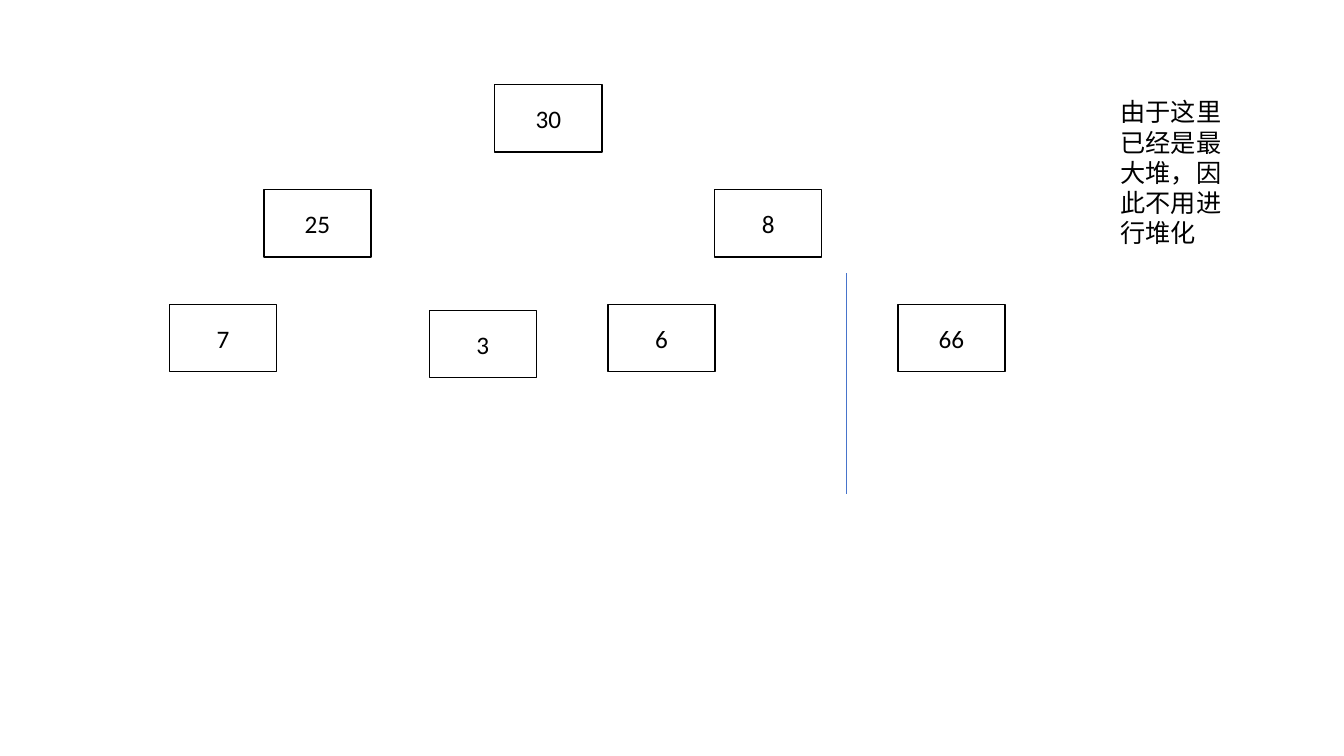
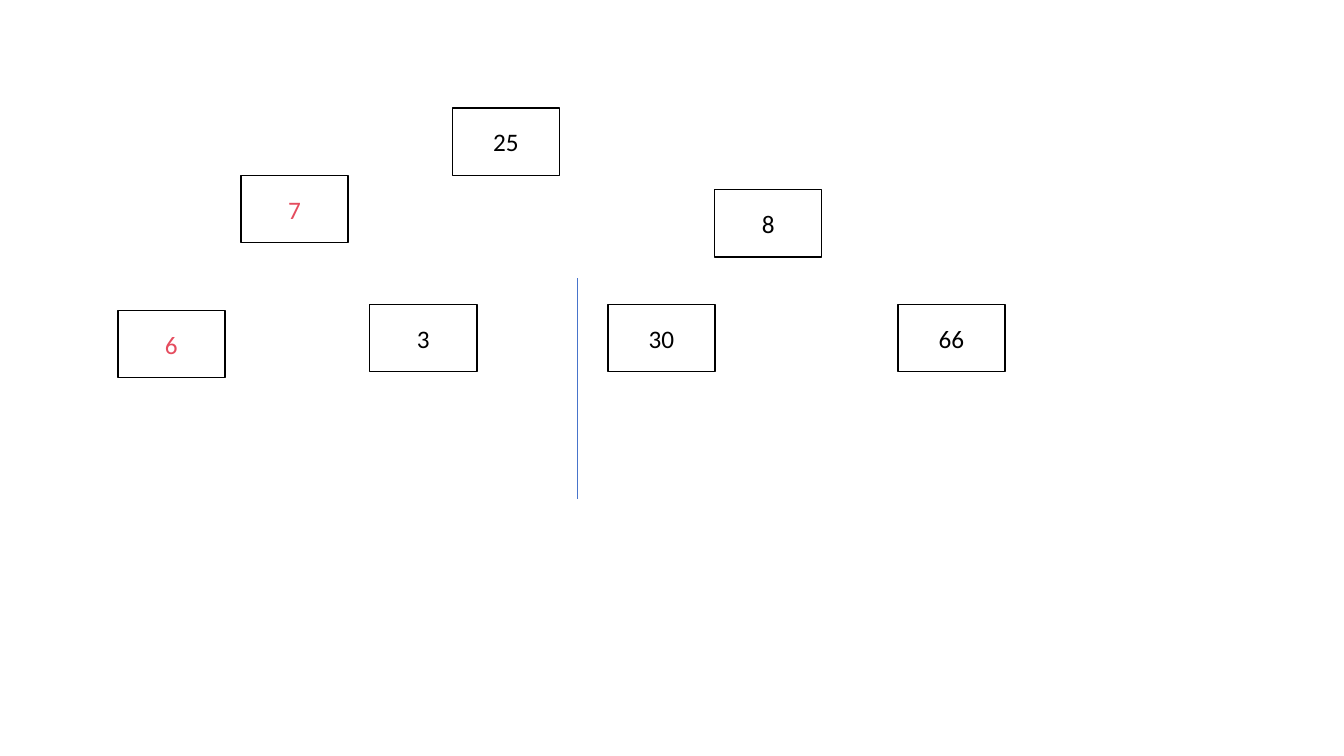
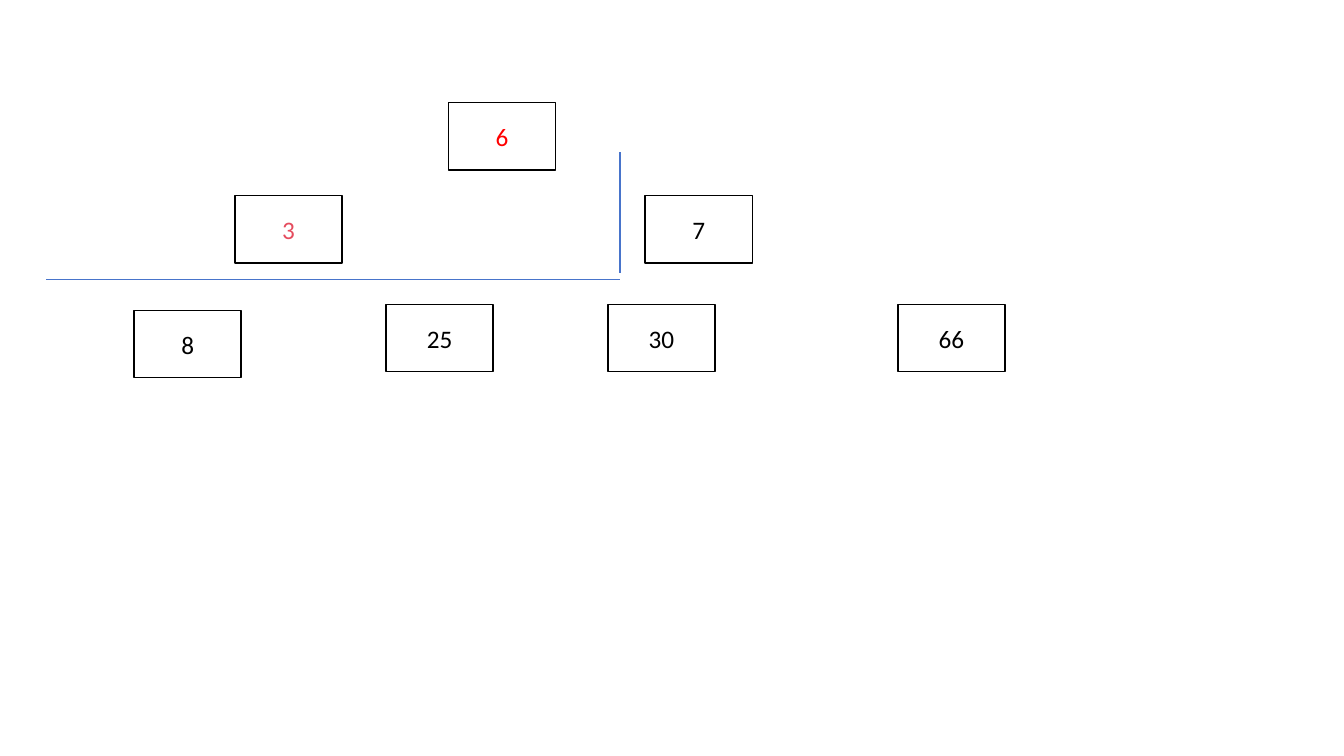
import pptx
import pptx.dml.color
import pptx.enum.shapes
import pptx.enum.text
import pptx.oxml.ns
import pptx.util
from lxml import etree

Cm = pptx.util.Cm
RGBColor = pptx.dml.color.RGBColor

BLACK = RGBColor(0x00, 0x00, 0x00)
WHITE = RGBColor(0xFF, 0xFF, 0xFF)
BLUE = RGBColor(0x48, 0x74, 0xCB)
ROSE = RGBColor(0xE5, 0x4C, 0x5E)
RED = RGBColor(0xFF, 0x00, 0x00)

FONT = {"name": "Calibri", "size": pptx.util.Pt(18)}
LINE_WIDTH = pptx.util.Pt(1)
NODE_WIDTH, NODE_HEIGHT = 2.7, 1.7
HEAP_ORIGIN = (1, 2)
LEAF_TOP, LOW_LEAF_TOP = 5.67, 5.82
LAST_LEAF = ("66", 21.63, LEAF_TOP, BLACK)
SIXTH_LEFT = 14.32

# Nodes in level order: value, left, top, colour; dividers: start and end.
# Offsets are in centimetres from the heap origin.
STEPS = [
    {
        "nodes": [
            ("30", 11.47, 0.13, BLACK),
            ("25", 5.65, 2.78, BLACK),
            ("8", 17.01, 2.78, BLACK),
            ("7", 3.27, LEAF_TOP, BLACK),
            ("3", 9.82, LOW_LEAF_TOP, BLACK),
            ("6", SIXTH_LEFT, LEAF_TOP, BLACK),
            LAST_LEAF,
        ],
        "dividers": [(20.34, 4.88, 20.34, 10.45)],
        "remark": "由于这里已经是最大堆，因此不用进行堆化",
    },
    {
        "nodes": [
            ("25", 10.4, 0.72, BLACK),
            ("7", 5.07, 2.42, ROSE),
            ("8", 17.01, 2.78, BLACK),
            ("6", 1.97, LOW_LEAF_TOP, ROSE),
            ("3", 8.32, LEAF_TOP, BLACK),
            ("30", SIXTH_LEFT, LEAF_TOP, BLACK),
            LAST_LEAF,
        ],
        "dividers": [(13.55, 5.01, 13.55, 10.57)],
    },
    {
        "nodes": [
            ("6", 10.3, 0.59, RED),
            ("3", 4.92, 2.93, ROSE),
            ("7", 15.26, 2.93, BLACK),
            ("8", 2.38, LOW_LEAF_TOP, BLACK),
            ("25", 8.73, LEAF_TOP, BLACK),
            ("30", SIXTH_LEFT, LEAF_TOP, BLACK),
            LAST_LEAF,
        ],
        "dividers": [(0.17, 5.04, 14.62, 5.04), (14.62, 1.84, 14.62, 4.88)],
    },
]


def write_text(shape, text, color):
    shape.text_frame.word_wrap = True
    paragraph = shape.text_frame.paragraphs[0]
    run = paragraph.add_run()
    run.text = text
    for attribute, value in FONT.items():
        setattr(run.font, attribute, value)
    run.font.color.rgb = color
    return paragraph


def set_line(shape, color):
    shape.line.color.rgb = color
    shape.line.width = LINE_WIDTH


def add_node(slide, left, top, value, color):
    shape = slide.shapes.add_shape(
        pptx.enum.shapes.MSO_SHAPE.RECTANGLE,
        Cm(left), Cm(top), Cm(NODE_WIDTH), Cm(NODE_HEIGHT))
    shape.shadow.inherit = False
    shape.fill.solid()
    shape.fill.fore_color.rgb = WHITE
    set_line(shape, BLACK)
    shape.text_frame.vertical_anchor = pptx.enum.text.MSO_ANCHOR.MIDDLE
    paragraph = write_text(shape, value, color)
    paragraph.alignment = pptx.enum.text.PP_ALIGN.CENTER


def add_divider(slide, *ends):
    connector = slide.shapes.add_connector(
        pptx.enum.shapes.MSO_CONNECTOR.STRAIGHT, *map(Cm, ends))
    set_line(connector, BLUE)
    etree.SubElement(connector._element.spPr, pptx.oxml.ns.qn("a:effectLst"))


def add_heap(slide, left, top, nodes, dividers):
    """Draw the tree and the lines that part it from the sorted values."""
    for value, node_left, node_top, color in nodes:
        add_node(slide, left + node_left, top + node_top, value, color)
    for x1, y1, x2, y2 in dividers:
        add_divider(slide, left + x1, top + y1, left + x2, top + y2)


def add_remark(slide, left, top, width, height, text):
    box = slide.shapes.add_textbox(Cm(left), Cm(top), Cm(width), Cm(height))
    write_text(box, text, BLACK)
    box.text_frame.auto_size = pptx.enum.text.MSO_AUTO_SIZE.SHAPE_TO_FIT_TEXT


def main():
    presentation = pptx.Presentation()
    presentation.slide_width = Cm(33.87)
    presentation.slide_height = Cm(19.05)
    blank_layout = presentation.slide_layouts[6]
    for step in STEPS:
        slide = presentation.slides.add_slide(blank_layout)
        add_heap(slide, *HEAP_ORIGIN, step["nodes"], step["dividers"])
        if "remark" in step:
            add_remark(slide, 27.99, 2.31, 3.33, 4.11, step["remark"])
    presentation.save("out.pptx")


if __name__ == "__main__":
    main()
